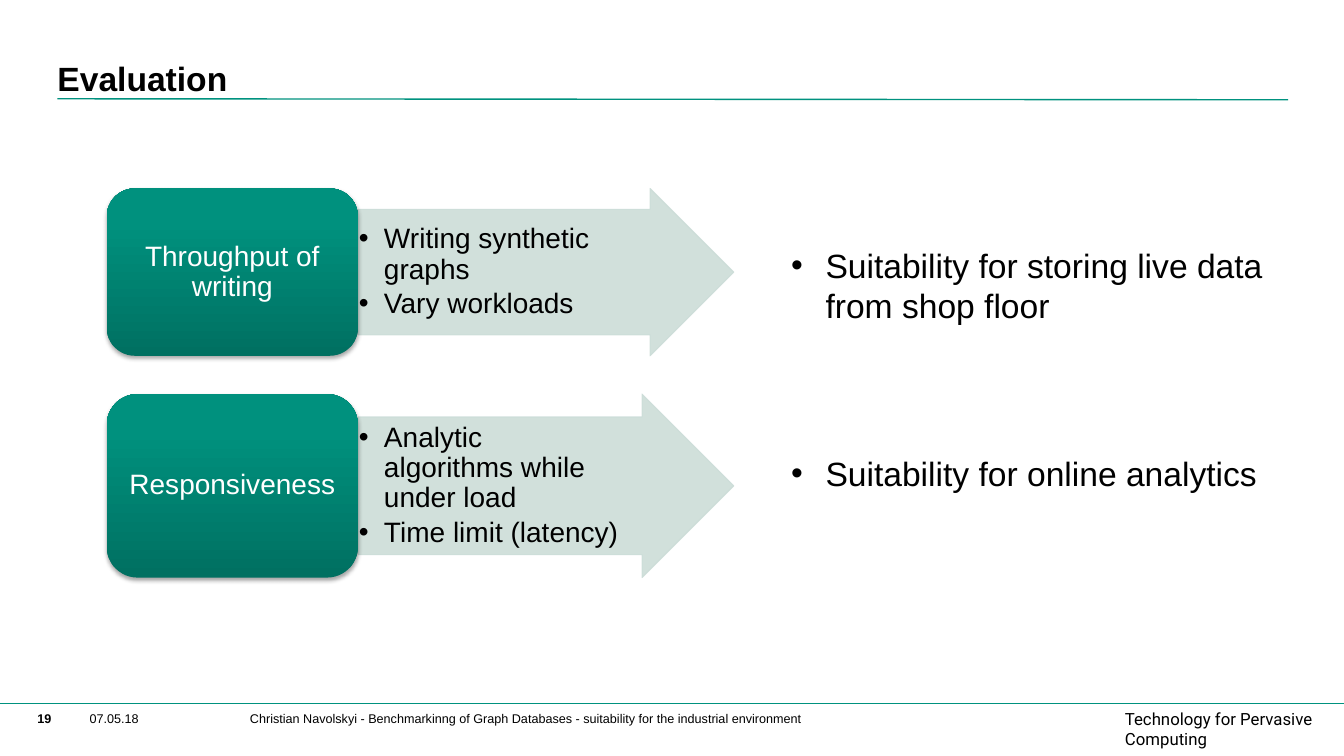
import dataclasses

import pptx
import pptx.dml.color
import pptx.enum.shapes
import pptx.enum.text
import pptx.oxml
import pptx.oxml.ns
import pptx.util

ALIGN = pptx.enum.text.PP_ALIGN
ANCHOR = pptx.enum.text.MSO_ANCHOR
SHAPE = pptx.enum.shapes.MSO_SHAPE
CELL = 1 / 12  # inches: the slide is 160 columns by 90 rows
COLUMNS, ROWS = 160, 90


@dataclasses.dataclass(frozen=True)
class Theme:
    font: str = "Arial"
    brand_font: str = "Roboto"
    text: str = "000000"
    light: str = "FFFFFF"
    accent: str = "00927F"
    arrow: str = "CCDDD8"
    gradient: tuple = ((0, "007061"), (80, "00917E"), (100, "00927F"))
    title: float = 24
    body: float = 24
    diagram: float = 20
    brand: float = 12
    footer: float = 9


THEME = Theme()


def grid(cells):
    return pptx.util.Inches(cells * CELL)


def rgb(value):
    return pptx.dml.color.RGBColor.from_string(value)


def xml(tag, inner="", **attrs):
    """Build one DrawingML element from its tag, content and attributes."""
    listed = "".join(f' {name}="{value}"' for name, value in attrs.items())
    return f'<a:{tag} {pptx.oxml.ns.nsdecls("a")}{listed}>{inner}</a:{tag}>'


def element(tag, inner="", **attrs):
    return pptx.oxml.parse_xml(xml(tag, inner, **attrs))


def write(tf, text, size=THEME.footer, font=THEME.font, color=THEME.text,
          bold=False, align=ALIGN.LEFT, anchor=ANCHOR.TOP, insets=(0, 0, 0, 0),
          bullet_indent=0, line_spacing=None, gap=0):
    """Fill a text frame, one paragraph per line; insets and indent in inches, gap in points."""
    tf.word_wrap = True
    tf.vertical_anchor = anchor
    tf.margin_left, tf.margin_top, tf.margin_right, tf.margin_bottom = map(
        pptx.util.Inches, insets)
    for i, line in enumerate(text.split("\n")):
        p = tf.paragraphs[0] if i == 0 else tf.add_paragraph()
        p.alignment = align
        if line_spacing:
            p.line_spacing = line_spacing
        if i:
            p.space_before = pptx.util.Pt(gap)
        if bullet_indent:
            indent = pptx.util.Inches(bullet_indent)
            p_pr = p._p.get_or_add_pPr()
            p_pr.set("marL", str(indent))
            p_pr.set("indent", str(-indent))
            p_pr.append(element("buFont", typeface=THEME.font))
            p_pr.append(element("buChar", char="•"))
        r = p.add_run()
        r.text = line
        r.font.name, r.font.size, r.font.bold = font, pptx.util.Pt(size), bold
        r.font.color.rgb = rgb(color)


def add_text(s, box, text, **style):
    write(s.shapes.add_textbox(*map(grid, box)).text_frame, text, **style)


def add_rule(s, x1, y1, x2, y2):
    line = s.shapes.add_connector(
        pptx.enum.shapes.MSO_CONNECTOR.STRAIGHT, *map(grid, (x1, y1, x2, y2)))
    line.line.color.rgb = rgb(THEME.accent)
    line.line.width = pptx.util.Pt(1)
    line._element.spPr.append(element("effectLst"))


def add_shape(s, kind, box):
    sp = s.shapes.add_shape(kind, *map(grid, box))
    sp.shadow.inherit = False
    return sp


def add_arrow(s, box, text):
    sp = add_shape(s, SHAPE.RIGHT_ARROW, box)
    sp.adjustments[0], sp.adjustments[1] = 0.75, 0.5
    sp.fill.solid()
    sp.fill.fore_color.rgb = rgb(THEME.arrow)
    sp.line.color.rgb = rgb(THEME.arrow)
    sp.line.width = pptx.util.Pt(0.75)
    for color in sp._element.spPr.iter(pptx.oxml.ns.qn("a:srgbClr")):
        color.append(element("alpha", val=90000))
    head_clearance = box[3] * CELL / 4
    write(sp.text_frame, text, size=THEME.diagram, anchor=ANCHOR.MIDDLE,
          insets=(0.01, 0.01, head_clearance, 0.01), bullet_indent=0.25,
          line_spacing=0.9, gap=3)


def add_topic(s, box, text):
    """Add a rounded box with a vertical gradient and a soft shadow."""
    sp = add_shape(s, SHAPE.ROUNDED_RECTANGLE, box)
    sp.line.fill.background()
    stops = "".join(xml("gs", xml("srgbClr", val=color), pos=share * 1000)
                    for share, color in THEME.gradient)
    fill = element("gradFill", xml("gsLst", stops) + xml("lin", ang=270 * 60000, scaled=0))
    sp_pr = sp._element.spPr
    sp_pr.find(pptx.oxml.ns.qn("a:prstGeom")).addnext(fill)
    shade = xml("srgbClr", xml("alpha", val=35000), val=THEME.text)
    sp_pr.find(pptx.oxml.ns.qn("a:effectLst")).append(element(
        "outerShdw", shade, blurRad=pptx.util.Pt(3.1), dist=pptx.util.Pt(1.8),
        dir=90 * 60000, rotWithShape=0))
    write(sp.text_frame, text, size=THEME.diagram, color=THEME.light,
          align=ALIGN.CENTER, anchor=ANCHOR.MIDDLE,
          insets=(0.08, 0.04, 0.08, 0.04), line_spacing=0.9)


def add_step(s, top, height, topic, details):
    left, topic_width, arrow_width = 12.72, 29.88, 44.76
    add_arrow(s, (left + topic_width, top, arrow_width, height), details)
    add_topic(s, (left, top, topic_width, height), topic)


def add_footer(s):
    top = 84.6
    add_rule(s, 0, 83.76, COLUMNS, 83.76)
    add_text(s, (4.44, top, 5.64, 2.88), "19", bold=True)
    add_text(s, (10.68, top, 15.12, 4.68), "07.05.18")
    add_text(s, (29.76, top, 74.28, 4.68),
             "Christian Navolskyi - Benchmarkinng of Graph Databases"
             " - suitability for the industrial environment")
    add_text(s, (133.92, 84.36, 23.04, 5.04), "Technology for Pervasive Computing",
             size=THEME.brand, font=THEME.brand_font)


def main():
    prs = pptx.Presentation()
    prs.slide_width, prs.slide_height = grid(COLUMNS), grid(ROWS)
    s = prs.slides.add_slide(prs.slide_layouts[6])
    add_footer(s)
    add_rule(s, 6.84, 11.76, 153.36, 11.88)
    add_text(s, (6.84, 4.32, 120.96, 7.32), "Evaluation",
             size=THEME.title, bold=True, anchor=ANCHOR.BOTTOM)
    add_step(s, 22.44, 19.92, "Throughput of writing",
             "Writing synthetic graphs\nVary workloads")
    add_step(s, 46.92, 21.84, "Responsiveness",
             "Analytic algorithms while under load\nTime limit (latency)")
    add_text(s, (94.2, 17.64, 61.92, 64.2),
             "Suitability for storing live data from shop floor\n"
             "Suitability for online analytics",
             size=THEME.body, insets=(0, 0.96, 0, 0), bullet_indent=0.34, gap=91)
    prs.save("out.pptx")


if __name__ == "__main__":
    main()
